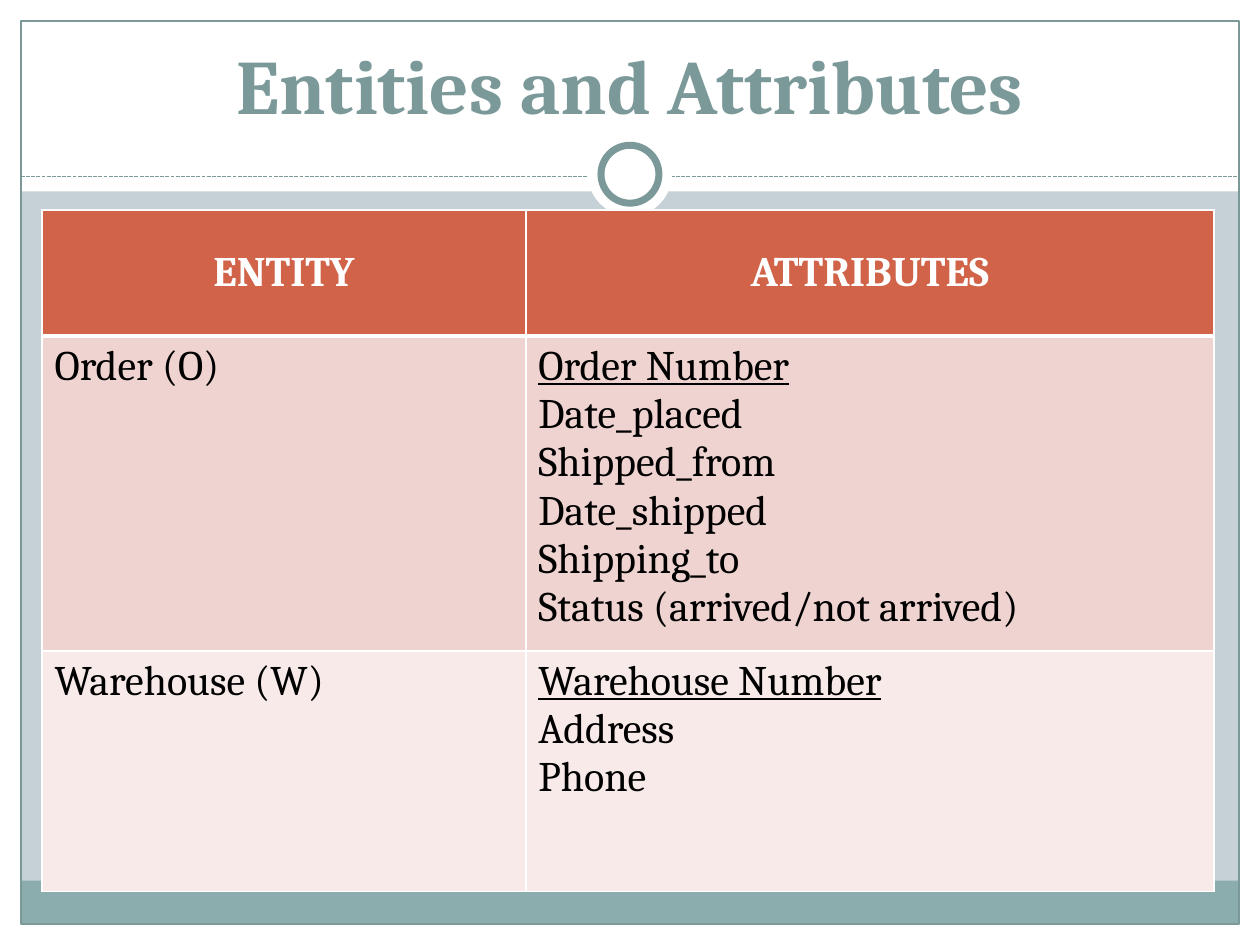
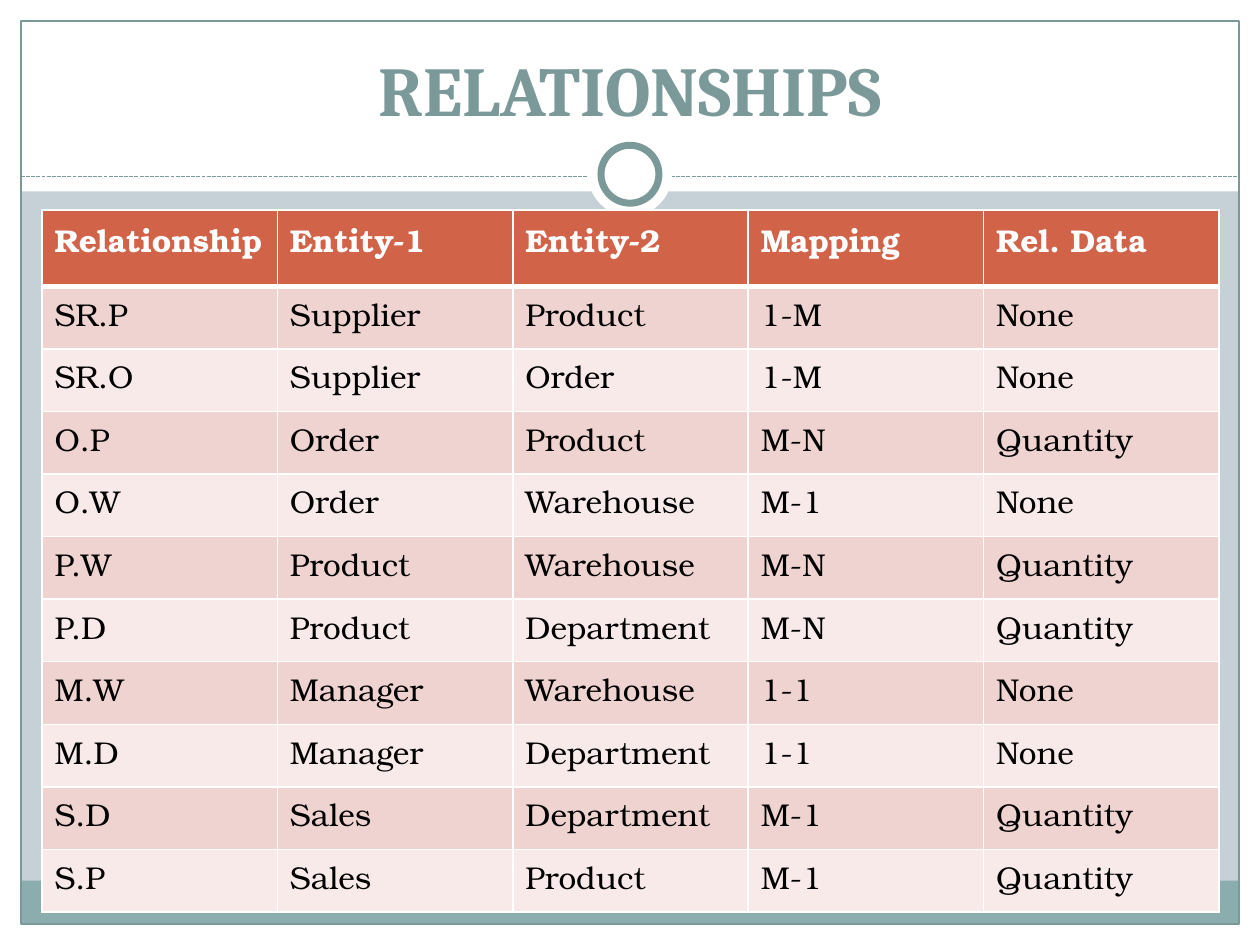
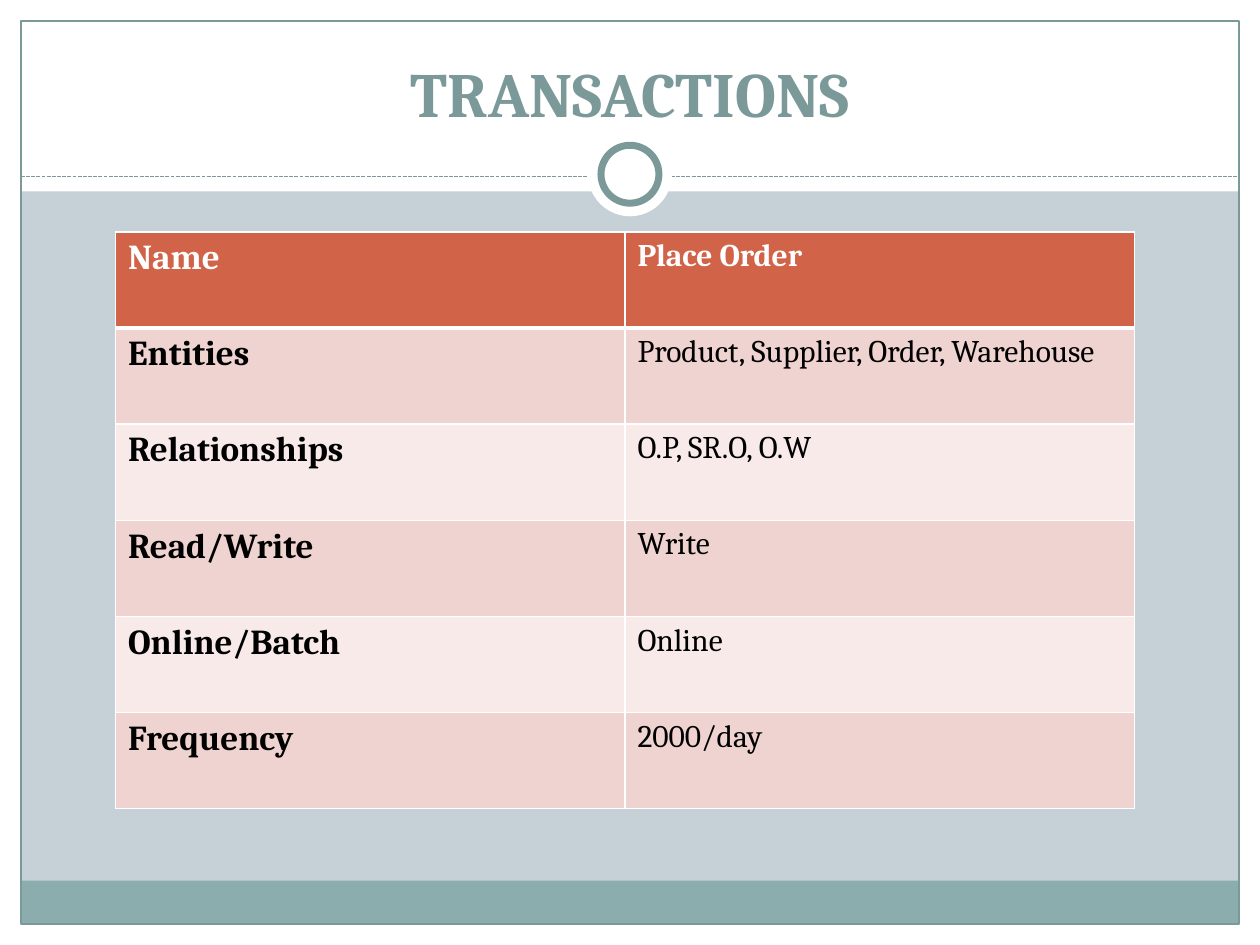
"""Build three slides on entities, relationships and transactions of an ordering database."""
from dataclasses import dataclass

import lxml.etree
import pptx
import pptx.dml.color
import pptx.enum.dml
import pptx.enum.shapes
import pptx.enum.text
import pptx.oxml.ns
import pptx.util


@dataclass(frozen=True)
class Theme:
    backdrop: str = "C5D1D7"
    white: str = "FFFFFF"
    black: str = "000000"
    accent: str = "7C999A"
    footer: str = "8CADAE"
    header: str = "D16349"
    bands: tuple = ("F7EAE9", "EED3D0")
    serif: str = "Cambria"
    bookish: str = "TeX Gyre Bonum"
    large: int = 24
    medium: int = 20
    small: int = 18
    hairline: float = 0.75
    ring: float = 4
    border: float = 1
    header_rule: float = 3


theme = Theme()
rgb = pptx.dml.color.RGBColor.from_string
qn = pptx.oxml.ns.qn
Pt = pptx.util.Pt
RECT = pptx.enum.shapes.MSO_SHAPE.RECTANGLE
OVAL = pptx.enum.shapes.MSO_SHAPE.OVAL
CENTER = pptx.enum.text.PP_ALIGN.CENTER
LEFT = pptx.enum.text.PP_ALIGN.LEFT
TOP = pptx.enum.text.MSO_ANCHOR.TOP
MIDDLE = pptx.enum.text.MSO_ANCHOR.MIDDLE

deck = pptx.Presentation()
deck.slide_width = pptx.util.Inches(10)
deck.slide_height = pptx.util.Inches(7.5)
COLUMNS, ROWS = 60, 45
UNIT = deck.slide_width / COLUMNS


def grid(*counts):
    """Turn counts of grid units into lengths."""
    return [pptx.util.Emu(round(count * UNIT)) for count in counts]


def style(para, font_name, size, color, bold):
    """Format every run of a paragraph."""
    for span in para.runs:
        span.font.name = font_name
        span.font.size = Pt(size)
        span.font.color.rgb = rgb(color)
        span.font.bold = bold


BAND_TOP = 41.94
panels = [
    (RECT, (0, ROWS - 1, COLUMNS, 1), theme.white, None),
    (RECT, (0, 0, COLUMNS, 9.12), theme.white, None),
    (RECT, (0, 0, 1, ROWS), theme.white, None),
    (RECT, (COLUMNS - 1, 0, 1, ROWS), theme.white, None),
    (RECT, (1, BAND_TOP, COLUMNS - 2, ROWS - 1 - BAND_TOP), theme.footer, None),
    (RECT, (1, 1, COLUMNS - 2, ROWS - 2), None, theme.hairline),
]
rings = [
    (OVAL, (28, 6.3, 4, 4), theme.white, None),
    (OVAL, (28.62, 6.92, 2.76, 2.76), theme.white, theme.ring),
]

contents = [
    dict(
        title="Entities and Attributes", title_size=44, corner=(2, 10),
        widths=[23.04, 32.76], heights=[6, 13.5, 11.46],
        font=theme.serif, sizes=[theme.large] * 2, bold_labels=False,
        header_align=CENTER, header_anchor=MIDDLE,
        rows=[
            ["ENTITY", "ATTRIBUTES"],
            ["Order (O)", "Order Number\nDate_placed\nShipped_from\nDate_shipped\n"
                          "Shipping_to\nStatus (arrived/not arrived)"],
            ["Warehouse (W)", "Warehouse Number\nAddress\nPhone"],
        ],
    ),
    dict(
        title="RELATIONSHIPS", title_size=40, corner=(2, 10),
        widths=[11.21] * 5, heights=[3.64] + [2.98] * 10,
        font=theme.bookish, sizes=[theme.small] * 5, bold_labels=False,
        header_align=LEFT, header_anchor=TOP,
        rows=[
            ["Relationship", "Entity-1", "Entity-2", "Mapping", "Rel. Data"],
            ["SR.P", "Supplier", "Product", "1-M", "None"],
            ["SR.O", "Supplier", "Order", "1-M", "None"],
            ["O.P", "Order", "Product", "M-N", "Quantity"],
            ["O.W", "Order", "Warehouse", "M-1", "None"],
            ["P.W", "Product", "Warehouse", "M-N", "Quantity"],
            ["P.D", "Product", "Department", "M-N", "Quantity"],
            ["M.W", "Manager", "Warehouse", "1-1", "None"],
            ["M.D", "Manager", "Department", "1-1", "None"],
            ["S.D", "Sales", "Department", "M-1", "Quantity"],
            ["S.P", "Sales", "Product", "M-1", "Quantity"],
        ],
    ),
    dict(
        title="TRANSACTIONS", title_size=36, corner=(5.5, 11.04),
        widths=[24.26] * 2, heights=[4.58] * 6,
        font=theme.serif, sizes=[theme.medium, theme.small], bold_labels=True,
        header_align=LEFT, header_anchor=TOP,
        rows=[
            ["Name", "Place Order"],
            ["Entities", "Product, Supplier, Order, Warehouse"],
            ["Relationships", "O.P, SR.O, O.W"],
            ["Read/Write", "Write"],
            ["Online/Batch", "Online"],
            ["Frequency", "2000/day"],
        ],
    ),
]

for content in contents:
    page = deck.slides.add_slide(deck.slide_layouts[6])
    page.background.fill.solid()
    page.background.fill.fore_color.rgb = rgb(theme.backdrop)

    rule = page.shapes.add_connector(
        pptx.enum.shapes.MSO_CONNECTOR.STRAIGHT, *grid(1, 8.4, COLUMNS - 1, 8.4))
    rule.line.color.rgb = rgb(theme.accent)
    rule.line.width = Pt(theme.hairline)
    rule.line.dash_style = pptx.enum.dml.MSO_LINE.SQUARE_DOT
    properties = rule.line._get_or_add_ln().getparent()
    lxml.etree.SubElement(properties, qn("a:effectLst"))

    for kind, area, fill, outline in panels + rings:
        panel = page.shapes.add_shape(kind, *grid(*area))
        panel.shadow.inherit = False
        if fill:
            panel.fill.solid()
            panel.fill.fore_color.rgb = rgb(fill)
        else:
            panel.fill.background()
        if outline:
            panel.line.color.rgb = rgb(theme.accent)
            panel.line.width = Pt(outline)
        else:
            panel.line.fill.background()
        if area == rings[0][1]:
            panel._element.addprevious(rule._element)

    box = page.shapes.add_textbox(*grid(2, 1.5, COLUMNS - 4, 5))
    box.text_frame.word_wrap = True
    box.text_frame.vertical_anchor = pptx.enum.text.MSO_ANCHOR.BOTTOM
    box.text_frame.text = content["title"]
    heading = box.text_frame.paragraphs[0]
    heading.alignment = CENTER
    style(heading, theme.serif, content["title_size"], theme.accent, True)

    rows, widths, heights = content["rows"], content["widths"], content["heights"]
    table = page.shapes.add_table(
        len(rows), len(widths),
        *grid(*content["corner"], sum(widths), sum(heights))).table
    table.horz_banding = False
    for column, width in zip(table.columns, grid(*widths)):
        column.width = width
    for row, height in zip(table.rows, grid(*heights)):
        row.height = height

    for row_index, texts in enumerate(rows):
        is_header = row_index == 0
        for column_index, text in enumerate(texts):
            cell = table.cell(row_index, column_index)
            cell.fill.solid()
            cell.fill.fore_color.rgb = rgb(
                theme.header if is_header else theme.bands[row_index % 2])
            cell.vertical_anchor = content["header_anchor"] if is_header else TOP
            cell.text_frame.text = text
            paras = cell.text_frame.paragraphs
            for para in paras:
                para.alignment = content["header_align"] if is_header else LEFT
                style(para, content["font"], content["sizes"][column_index],
                      theme.white if is_header else theme.black,
                      is_header or (content["bold_labels"] and column_index == 0))
            if len(paras) > 1:
                paras[0].runs[0].font.underline = True

            cell_properties = cell._tc.get_or_add_tcPr()
            for position, side in enumerate(("lnL", "lnR", "lnT", "lnB")):
                thick = (row_index, side) in ((0, "lnB"), (1, "lnT"))
                edge = lxml.etree.Element(qn(f"a:{side}"))
                edge.set("w", str(Pt(theme.header_rule if thick else theme.border)))
                paint = lxml.etree.SubElement(edge, qn("a:solidFill"))
                lxml.etree.SubElement(paint, qn("a:srgbClr")).set("val", theme.white)
                cell_properties.insert(position, edge)

deck.save("out.pptx")
